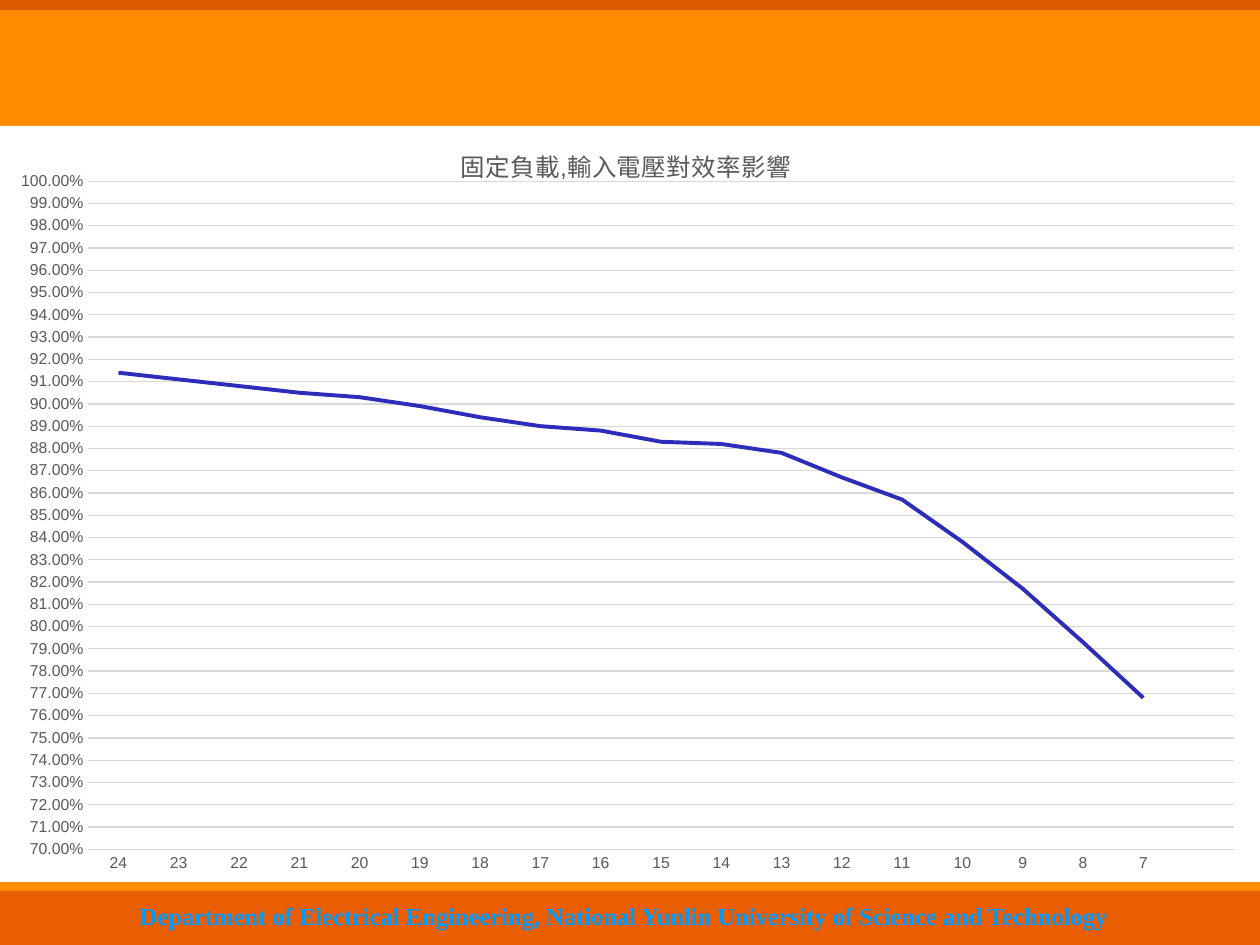
from lxml import etree
from pptx import Presentation
from pptx.chart.data import CategoryChartData
from pptx.dml.color import RGBColor
from pptx.enum.chart import XL_CHART_TYPE as ChartType, XL_TICK_MARK as TickMark
from pptx.enum.shapes import MSO_SHAPE as Shape
from pptx.enum.text import MSO_ANCHOR as Anchor, PP_ALIGN as Align
from pptx.oxml import parse_xml
from pptx.oxml.ns import nsdecls, qn
from pptx.util import Inches, Pt

COLORS = {
    "orange": "FF8C00",
    "top": "DC5900",
    "footer": "E85E00",
    "white": "FFFFFF",
    "credit": "0099FF",
    "text": "595959",
    "grid": "D9D9D9",
    "line": "2D2DB9",
}
VOLTAGES = [str(volt) for volt in range(24, 6, -1)] + [""]
EFFICIENCIES = [
    0.914, 0.911, 0.908, 0.905, 0.903, 0.899, 0.894, 0.89, 0.888,
    0.883, 0.882, 0.878, 0.867, 0.857, 0.838, 0.817, 0.793, 0.768, None,
]


def color(name):
    return RGBColor.from_string(COLORS[name])


def style_font(font, size, name, face="Arial", bold=False):
    font.size = Pt(size)
    font.name = face
    font.bold = bold
    font.color.rgb = color(name)


def style_line(line, name, width):
    line.color.rgb = color(name)
    line.width = Pt(width)


def add_band(page, left, top, width, height, fill):
    band = page.shapes.add_shape(
        Shape.RECTANGLE, Inches(left), Inches(top), Inches(width), Inches(height))
    band.shadow.inherit = False
    band.fill.solid()
    band.fill.fore_color.rgb = color(fill)
    band.line.fill.background()


def add_text_shadow(span):
    span.font.fill
    latin = span.font._element.find(qn("a:latin"))
    latin.addprevious(parse_xml(
        f'<a:effectLst {nsdecls("a")}><a:outerShdw dist="17961" dir="2700000">'
        '<a:srgbClr val="000000"/></a:outerShdw></a:effectLst>'))


def add_credit(page, text):
    box = page.shapes.add_textbox(Inches(0.9), Inches(7.1), Inches(8.11), Inches(0.33))
    frame = box.text_frame
    frame.word_wrap = True
    frame.vertical_anchor = Anchor.MIDDLE
    para = frame.paragraphs[0]
    para.alignment = Align.CENTER
    span = para.add_run()
    span.text = text
    style_font(span.font, 14, "credit", "Times New Roman", True)
    add_text_shadow(span)


def set_layout(parent, index, **places):
    for old in parent.findall(qn("c:layout")):
        parent.remove(old)
    layout = etree.Element(qn("c:layout"))
    manual = etree.SubElement(layout, qn("c:manualLayout"))
    for tag, value in places.items():
        etree.SubElement(manual, qn(f"c:{tag}")).set("val", str(value))
    parent.insert(index, layout)


def style_axis(axis):
    axis.major_tick_mark = axis.minor_tick_mark = TickMark.NONE
    style_font(axis.tick_labels.font, 9, "text")


def add_title(chart, text):
    frame = chart.chart_title.text_frame
    span = frame.paragraphs[0].add_run()
    span.text = text
    style_font(span.font, 14, "text")
    set_layout(chart.chart_title._element, 1,
               xMode="edge", yMode="edge", x=0.36, y=0.04)


def add_efficiency_chart(page):
    data = CategoryChartData(number_format="0.00%")
    data.categories = VOLTAGES
    data.add_series("Series 1", EFFICIENCIES)
    chart = page.shapes.add_chart(
        ChartType.LINE, Inches(0.07), Inches(0.87), Inches(9.86), Inches(6.11), data).chart
    chart.has_legend = False
    chart.font.size = Pt(10)
    chart.font.name = "Arial"
    add_title(chart, "固定負載,輸入電壓對效率影響")

    style_axis(chart.category_axis)
    style_line(chart.category_axis.format.line, "grid", 0.75)

    value_axis = chart.value_axis
    style_axis(value_axis)
    value_axis.minimum_scale = 0.7
    value_axis.maximum_scale = 1
    value_axis.major_unit = 0.01
    value_axis.tick_labels.number_format = "0.00%"
    value_axis.tick_labels.number_format_is_linked = False
    value_axis.format.line.fill.background()
    style_line(value_axis.major_gridlines.format.line, "grid", 0.75)

    plot = chart.plots[0]
    plot.vary_by_categories = False
    series = plot.series[0]
    series.smooth = False
    style_line(series.format.line, "line", 2.25)
    set_layout(plot._element.getparent(), 0, layoutTarget="inner",
               xMode="edge", yMode="edge", x=0.064, y=0.093, w=0.922, h=0.868)


def main():
    deck = Presentation()
    deck.slide_width, deck.slide_height = Inches(10), Inches(7.5)
    page = deck.slides.add_slide(deck.slide_layouts[6])
    add_band(page, 0, 0.02, 10, 7.48, "orange")
    add_band(page, 0, 0, 10, 0.08, "top")
    add_band(page, 0, 1, 10, 6, "white")
    add_band(page, 0, 7.07, 10, 0.43, "footer")
    add_credit(page, "Department of Electrical Engineering, "
                     "National Yunlin University of Science and Technology")
    add_efficiency_chart(page)
    deck.save("out.pptx")


if __name__ == "__main__":
    main()
